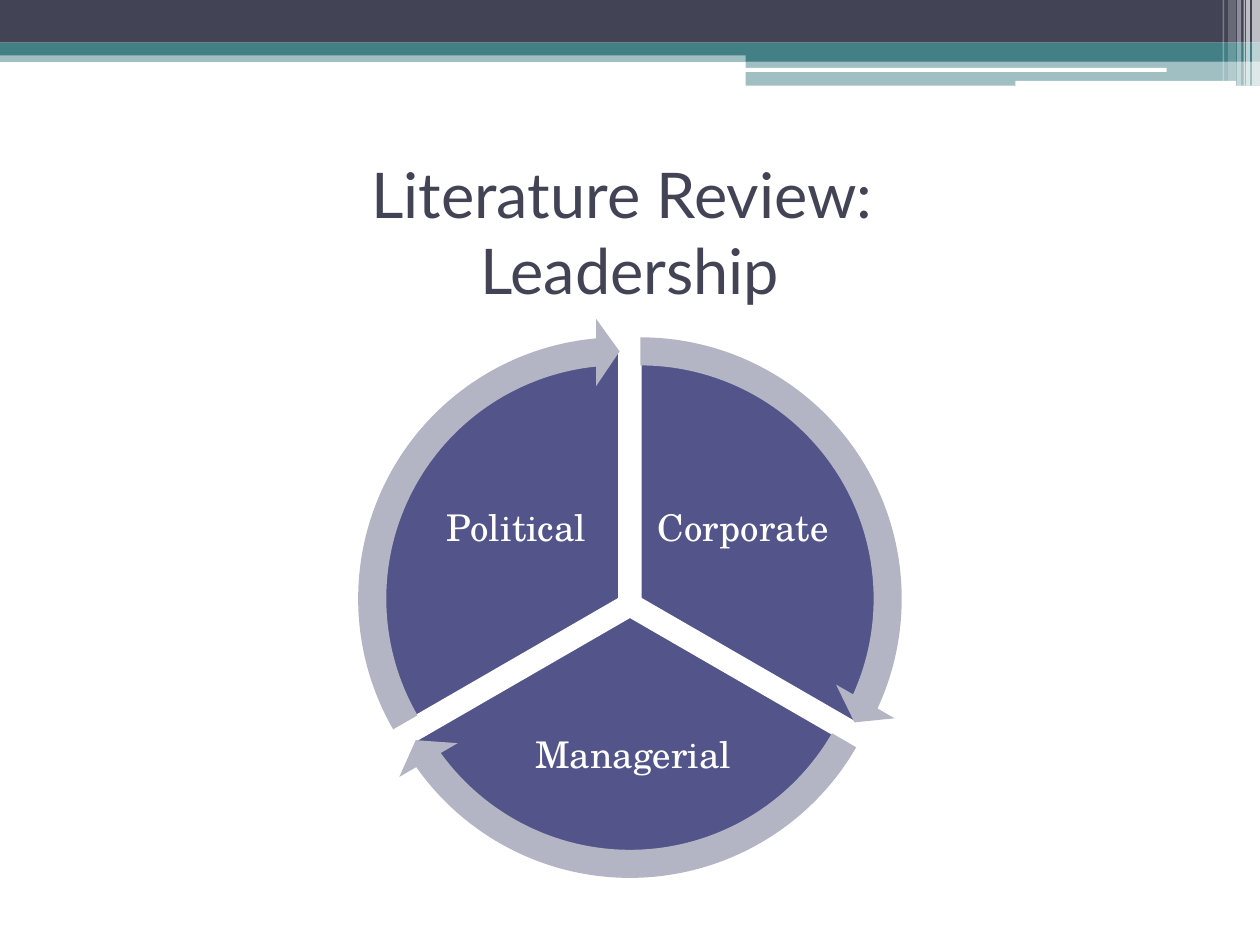
import pptx
import pptx.util
import pptx.dml.color
import pptx.enum.shapes
import pptx.enum.text
import pptx.oxml
import pptx.oxml.ns

Cm = pptx.util.Cm
Pt = pptx.util.Pt
KIND = pptx.enum.shapes.MSO_SHAPE
ALIGN = pptx.enum.text.PP_ALIGN
ANCHOR = pptx.enum.text.MSO_ANCHOR

NAVY, TEAL, WHITE = "424456", "438086", "FFFFFF"
PLUM, GREY = "53548A", "B3B4C4"

# Header bands: left, top, width, height, colour, opacity in percent
BANDS = [
    (0, 1.02, 25.4, 0.23, TEAL, 50),
    (0, 0, 25.4, 0.86, NAVY, 100),
    (0, 0.86, 25.4, 0.26, TEAL, 100),
    (15.03, 0.99, 10.37, 0.25, TEAL, 100),
    (15.03, 1.23, 10.37, 0.5, TEAL, 50),
]
# White rules below the bands: left, top, width, height
RULES = [(15.02, 1.37, 8.5, 0.08), (20.47, 1.63, 4.45, 0.1)]
# White stripes at the right edge: left, width, height, opacity
STRIPES = [
    (25.24, 0.16, 1.73, 65),
    (25.12, 0.08, 1.73, 65),
    (25.07, 0.03, 1.73, 60),
    (24.94, 0.08, 1.73, 40),
    (24.76, 0.16, 1.63, 20),
    (24.65, 0.03, 1.63, 30),
]

# Cycle: label, centre, pie angles, arrow angles, label box
# Angles are in units of 5/3 degree
PIE, RING = 10.08, 11.33
PARTS = [
    ("Corporate", (12.91, 12.07), (162, 18), (14.73, 161.99),
     (13.18, 9.17, 3.61, 3)),
    ("Managerial", (12.7, 12.43), (18, 90), (86.72, 18.01),
     (10.06, 13.94, 5.41, 2.64)),
    ("Political", (12.49, 12.07), (90, 162), (158.73, 90),
     (8.61, 9.17, 3.61, 3)),
]


def tint(hue):
    return pptx.dml.color.RGBColor.from_string(hue)


def shape(home, kind, box, hue, alpha=100, adj=()):
    """Add a filled preset shape without outline or shadow."""
    item = home.shapes.add_shape(kind, *map(Cm, box))
    item.shadow.inherit = False
    item.fill.solid()
    item.fill.fore_color.rgb = tint(hue)
    item.line.fill.background()
    for i, value in enumerate(adj):
        item.adjustments[i] = value
    if alpha < 100:
        tone = item._element.spPr.find(".//" + pptx.oxml.ns.qn("a:srgbClr"))
        tone.append(pptx.oxml.parse_xml(
            f'<a:alpha {pptx.oxml.ns.nsdecls("a")} val="{alpha * 1000}"/>'))
    return item


def disc(home, kind, mid, size, hue, adj):
    """Add a shape of equal sides around a centre."""
    x, y = mid
    box = (x - size / 2, y - size / 2, size, size)
    return shape(home, kind, box, hue, adj=adj)


def label(home, box, lines, size, font, hue, inset=None):
    """Add centred text, one run to a line."""
    frame = home.shapes.add_textbox(*map(Cm, box)).text_frame
    frame.word_wrap = True
    frame.vertical_anchor = ANCHOR.MIDDLE
    if inset is not None:
        frame.margin_left = frame.margin_right = Cm(inset)
        frame.margin_top = frame.margin_bottom = Cm(inset)
    para = frame.paragraphs[0]
    para.alignment = ALIGN.CENTER
    for i, line in enumerate(lines):
        if i:
            para.add_line_break()
        run = para.add_run()
        run.text = line
        run.font.size = Pt(size)
        run.font.name = font
        run.font.color.rgb = tint(hue)
    return para


def header(slide):
    for *box, hue, alpha in BANDS:
        shape(slide, KIND.RECTANGLE, box, hue, alpha)
    for box in RULES:
        shape(slide, KIND.ROUNDED_RECTANGLE, box, WHITE, adj=[0.17])
    for left, width, height, alpha in STRIPES:
        shape(slide, KIND.RECTANGLE, (left, 0, width, height), WHITE, alpha)


def cycle(slide):
    group = slide.shapes.add_group_shape()
    # Slices with their labels
    for name, mid, sweep, _, box in PARTS:
        slice_ = disc(group, KIND.PIE, mid, PIE, PLUM, sweep)
        slice_.line.color.rgb = tint(WHITE)
        slice_.line.width = Pt(1.5)
        para = label(group, box, [name], 21, "TeX Gyre Schola", WHITE, 0.08)
        para.line_spacing = 0.9
    # Arrows on top, around the same centres
    for _, mid, _, (end, start), _ in PARTS:
        disc(group, KIND.CIRCULAR_ARROW, mid, RING, GREY,
             (0.05, 3.28, end, start, 0.06))


def main():
    deck = pptx.Presentation()
    deck.slide_width, deck.slide_height = Cm(25.4), Cm(19.05)
    slide = deck.slides.add_slide(deck.slide_layouts[6])
    header(slide)
    label(slide, (1.27, 3.18, 22.86, 2.97),
          ["Literature Review: ", "Leadership"], 36, "Lato", NAVY)
    cycle(slide)
    deck.save("out.pptx")


if __name__ == "__main__":
    main()
